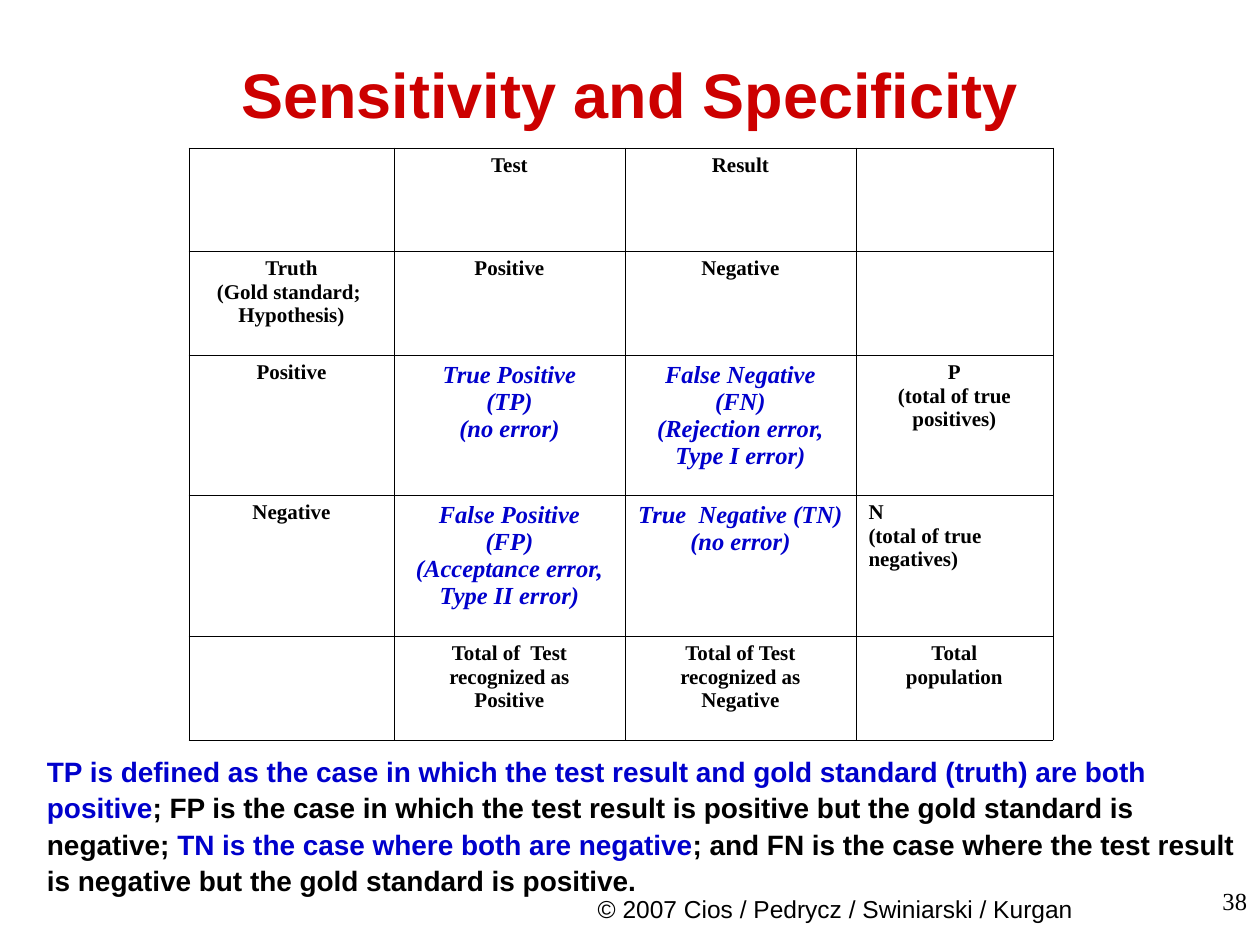
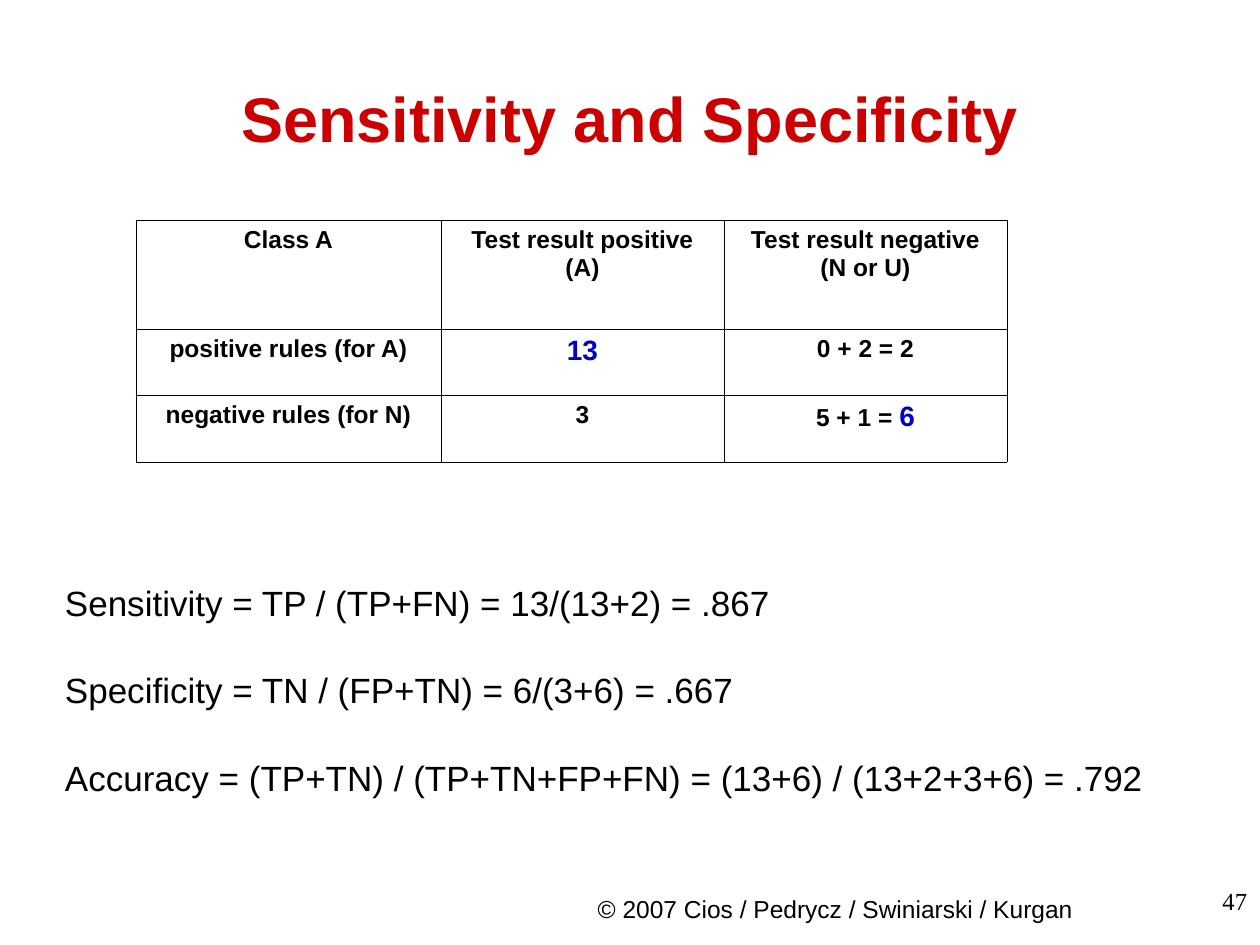
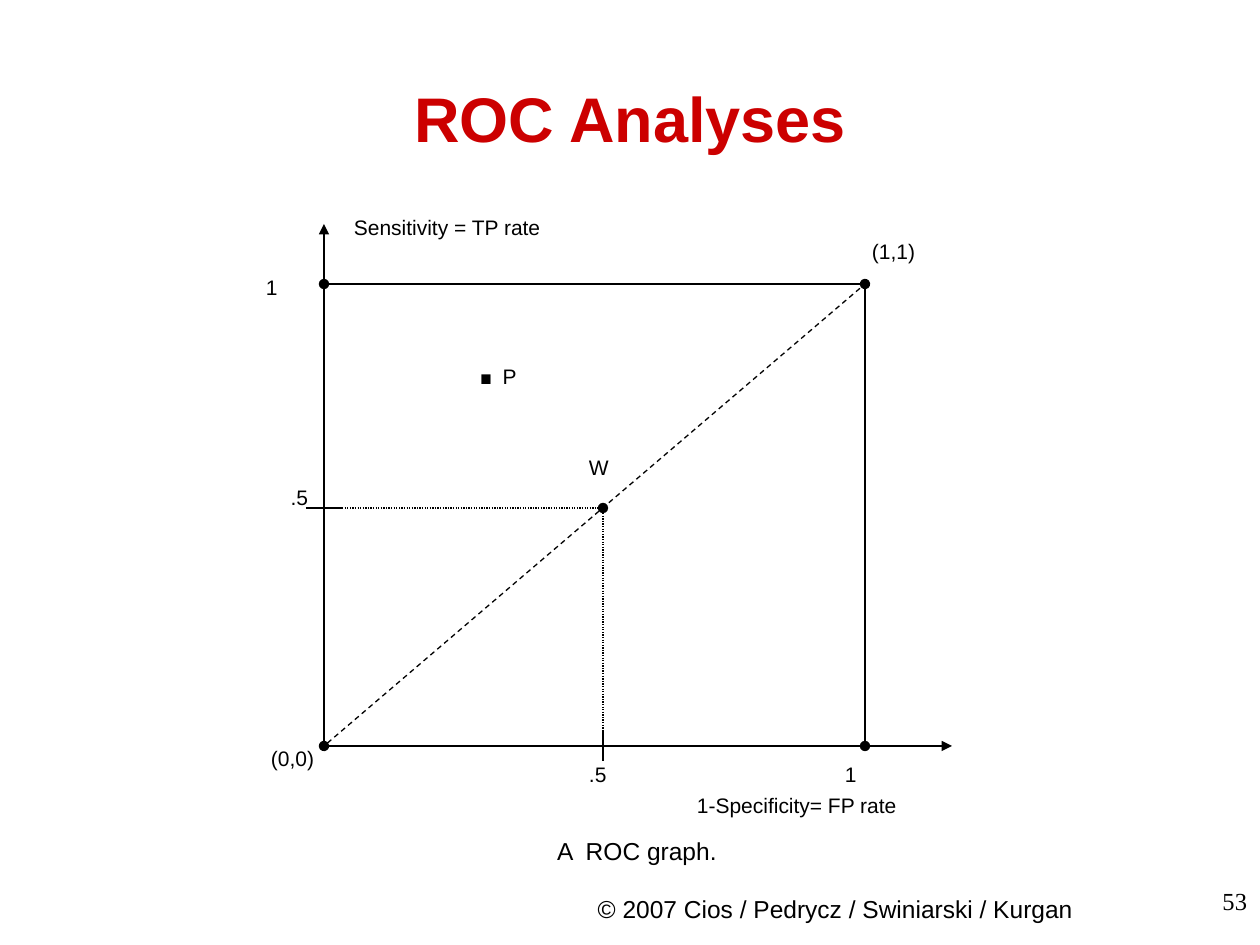
from dataclasses import dataclass
from typing import NamedTuple

from lxml import etree
from pptx import Presentation
from pptx import util as u
from pptx.dml import color
from pptx.enum import shapes, text
from pptx.oxml import ns

ALIGN = text.PP_ALIGN
ANCHOR = text.MSO_ANCHOR
RGB = color.RGBColor


@dataclass(frozen=True)
class Theme:
    black: RGB = RGB(0, 0, 0)
    white: RGB = RGB(255, 255, 255)
    red: RGB = RGB(0xCC, 0, 0)
    blue: RGB = RGB(0, 0, 0xCC)
    sans: str = "Arial"
    serif: str = "Times New Roman"
    title: int = 36
    dot: int = 37
    body: int = 20
    note: int = 16
    base: int = 14
    small: int = 12
    line: float = 0.75
    rule: float = 0.45
    lead: float = 1.08


THEME = Theme()


class Box(NamedTuple):
    x: int
    y: int
    w: int
    h: int


class Run(NamedTuple):
    words: str
    size: int = THEME.small
    tint: RGB = THEME.black
    bold: bool = False
    slant: bool = False
    face: str = THEME.sans


class Cell(NamedTuple):
    paras: list[list[Run]]
    align: ALIGN = ALIGN.CENTER


class Label(NamedTuple):
    box: Box
    runs: list[Run]
    align: ALIGN = ALIGN.LEFT
    pad: bool = False


class Point(NamedTuple):
    x: int
    y: int


class Line(NamedTuple):
    start: Point
    end: Point
    head: str = ""
    tail: str = ""
    dash: str = ""


def px(n: float) -> int:
    return int(n * 914400 / 126)


def place(box: Box) -> list[int]:
    return [px(n) for n in box]


def add_runs(para, runs: list[Run]) -> None:
    for item in runs:
        run = para.add_run()
        run.text = item.words
        font = run.font
        font.size, font.name = u.Pt(item.size), item.face
        font.bold, font.italic = item.bold, item.slant
        font.color.rgb = item.tint


def fill_frame(frame, paras: list[list[Run]], align: ALIGN,
               lead: float | None = None, gap: int = 0) -> None:
    """Write the paragraphs, with gap points between them."""
    for i, runs in enumerate(paras):
        para = frame.add_paragraph() if i else frame.paragraphs[0]
        para.alignment = align
        if lead:
            para.line_spacing = lead
        if i and gap:
            para.space_before = u.Pt(gap)
        add_runs(para, runs)


def set_frame(frame, anchor: ANCHOR = ANCHOR.TOP, pad: bool = True) -> None:
    frame.word_wrap = True
    frame.vertical_anchor = anchor
    frame.margin_left = frame.margin_right = px(13 if pad else 0)
    frame.margin_top = frame.margin_bottom = px(6 if pad else 0)


def add_text(slide, box: Box, paras: list[list[Run]],
             align: ALIGN = ALIGN.LEFT, anchor: ANCHOR = ANCHOR.TOP,
             pad: bool = True, lead: float | None = None,
             gap: int = 0) -> None:
    frame = slide.shapes.add_textbox(*place(box)).text_frame
    set_frame(frame, anchor, pad)
    fill_frame(frame, paras, align, lead, gap)


def add_slide(deck, title: str, number: int, high: int = 158):
    """Start a slide with its title, copyright line and page number."""
    slide = deck.slides.add_slide(deck.slide_layouts[5])
    head = slide.shapes.title
    head.left, head.top, head.width, head.height = place(
        Box(63, 38, 1134, high))
    set_frame(head.text_frame, ANCHOR.MIDDLE)
    fill_frame(head.text_frame,
               [[Run(title, THEME.title, THEME.red, True)]], ALIGN.CENTER)
    add_text(slide, Box(431, 861, 809, 68),
             [[Run("© 2007 Cios / Pedrycz / Swiniarski / Kurgan",
                   THEME.base)]], ALIGN.CENTER, ANCHOR.BOTTOM)
    add_text(slide, Box(966, 880, 294, 65),
             [[Run(str(number), THEME.base, face=THEME.serif)]], ALIGN.RIGHT)
    return slide


def add_rules(cell) -> None:
    """Draw the four borders of a cell."""
    props = cell._tc.get_or_add_tcPr()
    for i, side in enumerate(("lnL", "lnR", "lnT", "lnB")):
        edge = etree.Element(ns.qn(f"a:{side}"), w=str(u.Pt(THEME.rule)))
        fill = etree.SubElement(edge, ns.qn("a:solidFill"))
        etree.SubElement(fill, ns.qn("a:srgbClr"), val=str(THEME.black))
        props.insert(i, edge)


def add_grid(slide, left: int, top: int, cols: list[int], rows: list[int],
             cells: list[list[Cell]]) -> None:
    box = Box(left, top, sum(cols), sum(rows))
    table = slide.shapes.add_table(len(rows), len(cols), *place(box)).table
    table.first_row = table.horz_banding = False
    for col, wide in zip(table.columns, cols):
        col.width = px(wide)
    for row, high, items in zip(table.rows, rows, cells):
        row.height = px(high)
        for cell, item in zip(row.cells, items):
            cell.fill.background()
            add_rules(cell)
            fill_frame(cell.text_frame, item.paras, item.align)


def add_line(slide, item: Line) -> None:
    link = slide.shapes.add_connector(
        shapes.MSO_CONNECTOR.STRAIGHT, *place(item.start + item.end))
    link.line.width = u.Pt(THEME.line)
    link.line.color.rgb = THEME.black
    pen = link.line._get_or_add_ln()
    for tag, val, key in (("prstDash", item.dash, "val"),
                          ("headEnd", item.head, "type"),
                          ("tailEnd", item.tail, "type")):
        if val:
            etree.SubElement(pen, ns.qn(f"a:{tag}"), {key: val})
    etree.SubElement(link._element.spPr, ns.qn("a:effectLst"))


def plain(*lines: str, align: ALIGN = ALIGN.CENTER) -> Cell:
    return Cell([[Run(line, bold=True, face=THEME.serif)]
                 for line in lines], align)


def vivid(*lines: str) -> Cell:
    return Cell([[Run(line, THEME.base, THEME.blue, True, True, THEME.serif)]
                 for line in lines])


def count(*lines: str, key: str = "") -> Cell:
    """Make a cell of the rule table; key is its blue ending."""
    paras = [[Run(line, THEME.base, bold=True)] for line in lines] or [[]]
    if key:
        paras[-1].append(Run(key, THEME.note, THEME.blue, True))
    return Cell(paras)


def make_terms(deck) -> None:
    slide = add_slide(deck, "Sensitivity and Specificity", 38, 110)
    cells = [
        [plain(), plain("Test"), plain("Result"), plain()],
        [plain("Truth", "(Gold standard;  Hypothesis)"),
         plain("Positive"), plain("Negative"), plain()],
        [plain("Positive"),
         vivid("True Positive", "(TP)", "(no error)"),
         vivid("False Negative", "(FN)", "(Rejection error,",
               "Type I error)"),
         plain("P", "(total of true positives)")],
        [plain("Negative"),
         vivid("False Positive", "(FP)", "(Acceptance error,",
               "Type II error)"),
         vivid("True  Negative (TN)", "(no error)"),
         plain("N", "(total of true", "negatives)", align=ALIGN.LEFT)],
        [plain(),
         plain("Total of  Test", "recognized as", "Positive"),
         plain("Total of Test", "recognized as", "Negative"),
         plain("Total", "population")],
    ]
    add_grid(slide, 189, 148, [205, 231, 231, 197],
             [103, 104, 140, 141, 104], cells)
    parts = [
        ("TP is defined as the case in which the test result and gold "
         "standard (truth) are both positive", THEME.blue),
        ("; FP is the case in which the test result is positive but the "
         "gold standard is  negative; ", THEME.black),
        ("TN is the case where both are negative", THEME.blue),
        ("; and FN is the case where the test result is negative but the "
         "gold standard is positive.", THEME.black),
    ]
    add_text(slide, Box(34, 746, 1226, 147),
             [[Run(words, THEME.note, tint, True) for words, tint in parts]],
             lead=THEME.lead)


def make_rates(deck) -> None:
    slide = add_slide(deck, "Sensitivity and Specificity", 47)
    cells = [
        [count("Class A"), count("Test result positive (A)"),
         count("Test result negative", "(N or U)")],
        [count("positive rules (for A)"), count(key="13"),
         count("0 + 2 = 2")],
        [count("negative rules (for N)"), count("3"),
         count("5 + 1 = ", key="6")],
    ]
    add_grid(slide, 136, 220, [305, 283, 283], [109, 66, 67], cells)
    rates = [
        "Sensitivity = TP / (TP+FN) = 13/(13+2) = .867",
        "Specificity = TN / (FP+TN) = 6/(3+6) = .667",
        "Accuracy = (TP+TN) / (TP+TN+FP+FN) = (13+6) / (13+2+3+6) = .792",
    ]
    add_text(slide, Box(52, 572, 1134, 223),
             [[Run(rate, THEME.body)] for rate in rates],
             lead=THEME.lead, gap=24)


def make_graph(deck) -> None:
    slide = add_slide(deck, "ROC Analyses", 53)
    zero, one, mid = Point(324, 746), Point(865, 284), Point(603, 508)
    lines = [
        Line(Point(zero.x, 224), zero, head="triangle"),
        Line(zero, Point(952, zero.y), tail="triangle"),
        Line(zero, one, "oval", "oval", "dash"),
        Line(Point(zero.x, mid.y), mid, tail="oval", dash="sysDot"),
        Line(mid, Point(mid.x, zero.y), dash="sysDot"),
        Line(Point(zero.x - 18, mid.y), Point(zero.x + 18, mid.y)),
        Line(Point(mid.x, zero.y - 15), Point(mid.x, zero.y + 15)),
        Line(one, Point(zero.x, one.y), tail="oval"),
        Line(one, Point(one.x, zero.y), tail="oval"),
    ]
    for line in lines:
        add_line(slide, line)
    labels = [
        Label(Box(589, 455, 59, 33), [Run("W")]),
        Label(Box(464, 314, 105, 74),
              [Run(".", THEME.dot, bold=True),
               Run(" ", THEME.note, bold=True), Run("P")], pad=True),
        Label(Box(589, 762, 68, 39), [Run(".5")]),
        Label(Box(341, 209, 314, 44), [Run("Sensitivity = TP rate")],
              pad=True),
        Label(Box(697, 793, 301, 44), [Run("1-Specificity= FP rate")]),
        Label(Box(253, 268, 35, 30), [Run("1")], ALIGN.RIGHT, True),
        Label(Box(845, 762, 54, 30), [Run("1")]),
        Label(Box(253, 485, 55, 57), [Run(".5")], ALIGN.RIGHT),
        Label(Box(872, 239, 54, 30), [Run("(1,1)")]),
        Label(Box(271, 746, 62, 30), [Run("(0,0)")]),
    ]
    for label in labels:
        add_text(slide, label.box, [label.runs], label.align,
                 pad=label.pad)
    plate = slide.shapes.add_shape(shapes.MSO_SHAPE.RECTANGLE,
                                   *place(Box(334, 840, 606, 30)))
    plate.shadow.inherit = False
    plate.fill.solid()
    plate.fill.fore_color.rgb = THEME.white
    plate.line.fill.background()
    set_frame(plate.text_frame, pad=False)
    fill_frame(plate.text_frame, [[Run("A  ROC graph.", THEME.base)]],
               ALIGN.CENTER, 0.88)


def main() -> None:
    deck = Presentation()
    deck.slide_width, deck.slide_height = px(1260), px(945)
    for make in (make_terms, make_rates, make_graph):
        make(deck)
    deck.save("out.pptx")


if __name__ == "__main__":
    main()
